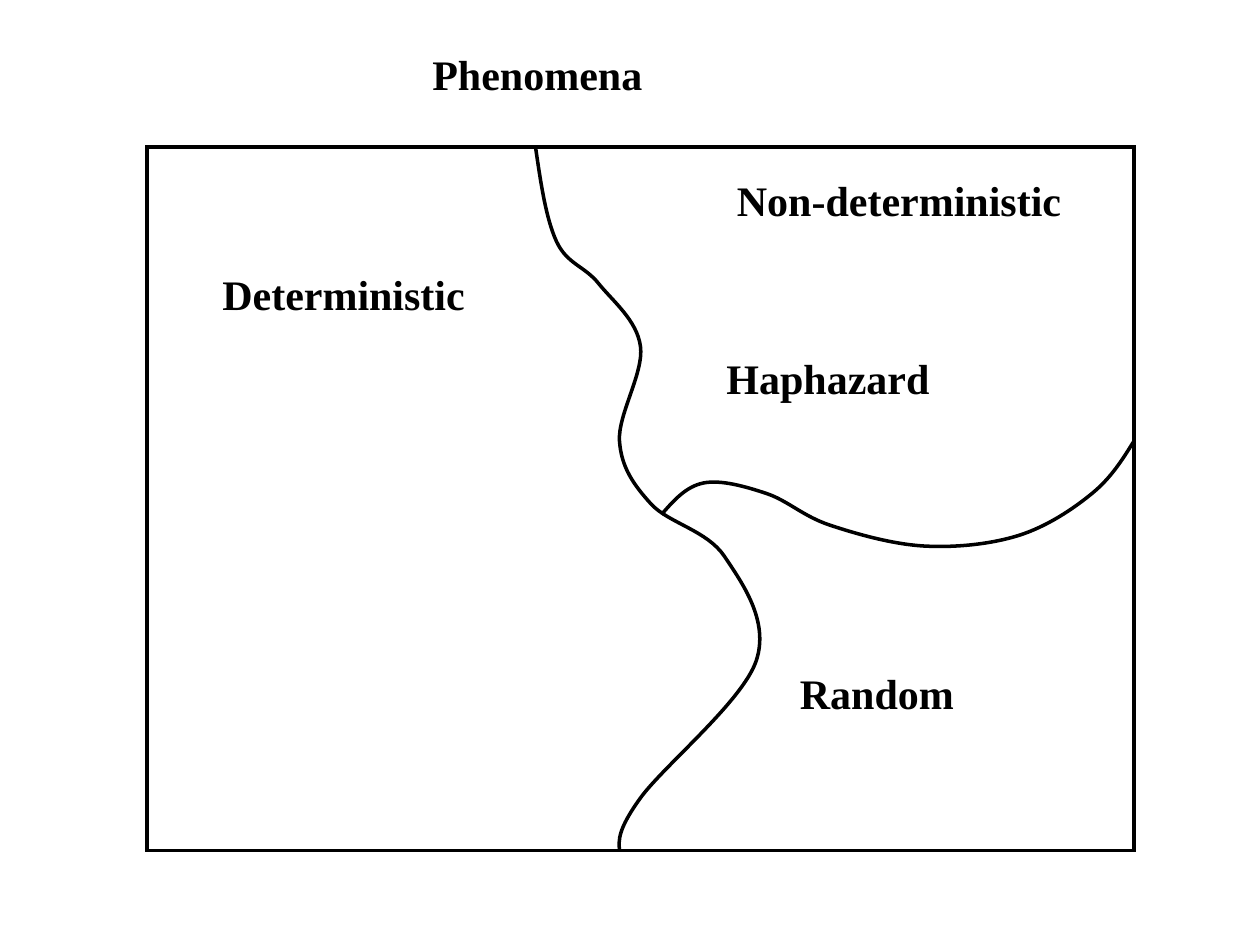
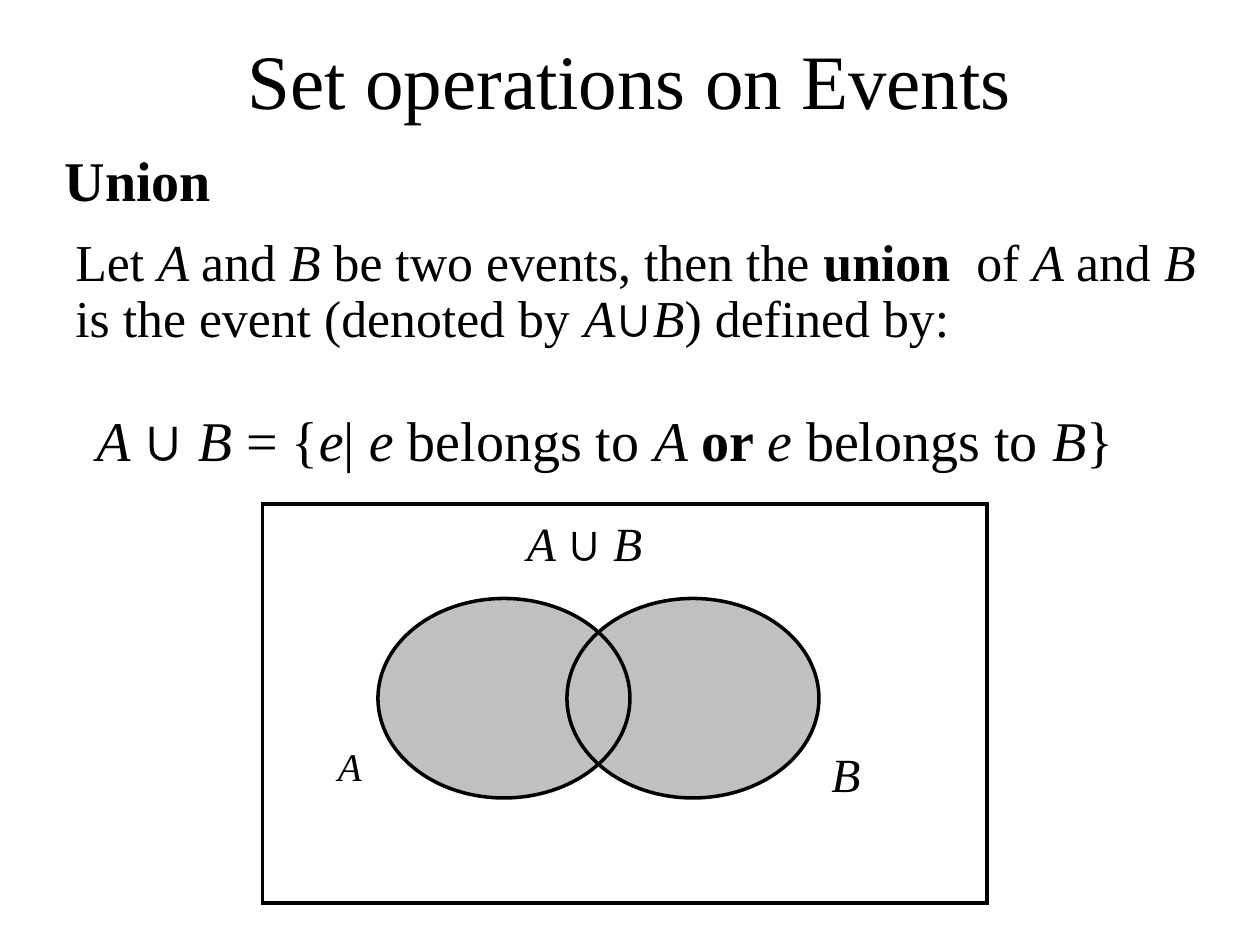
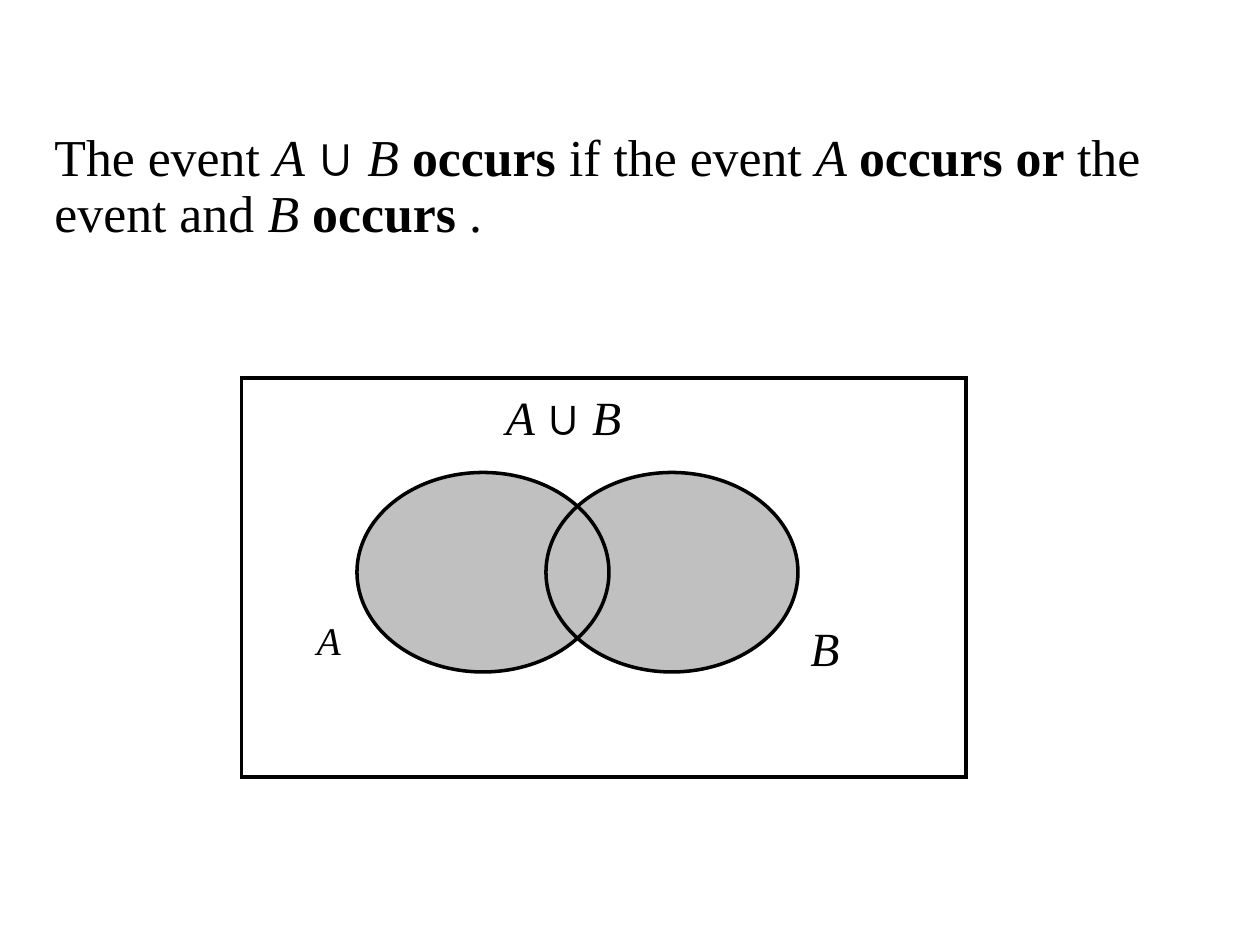
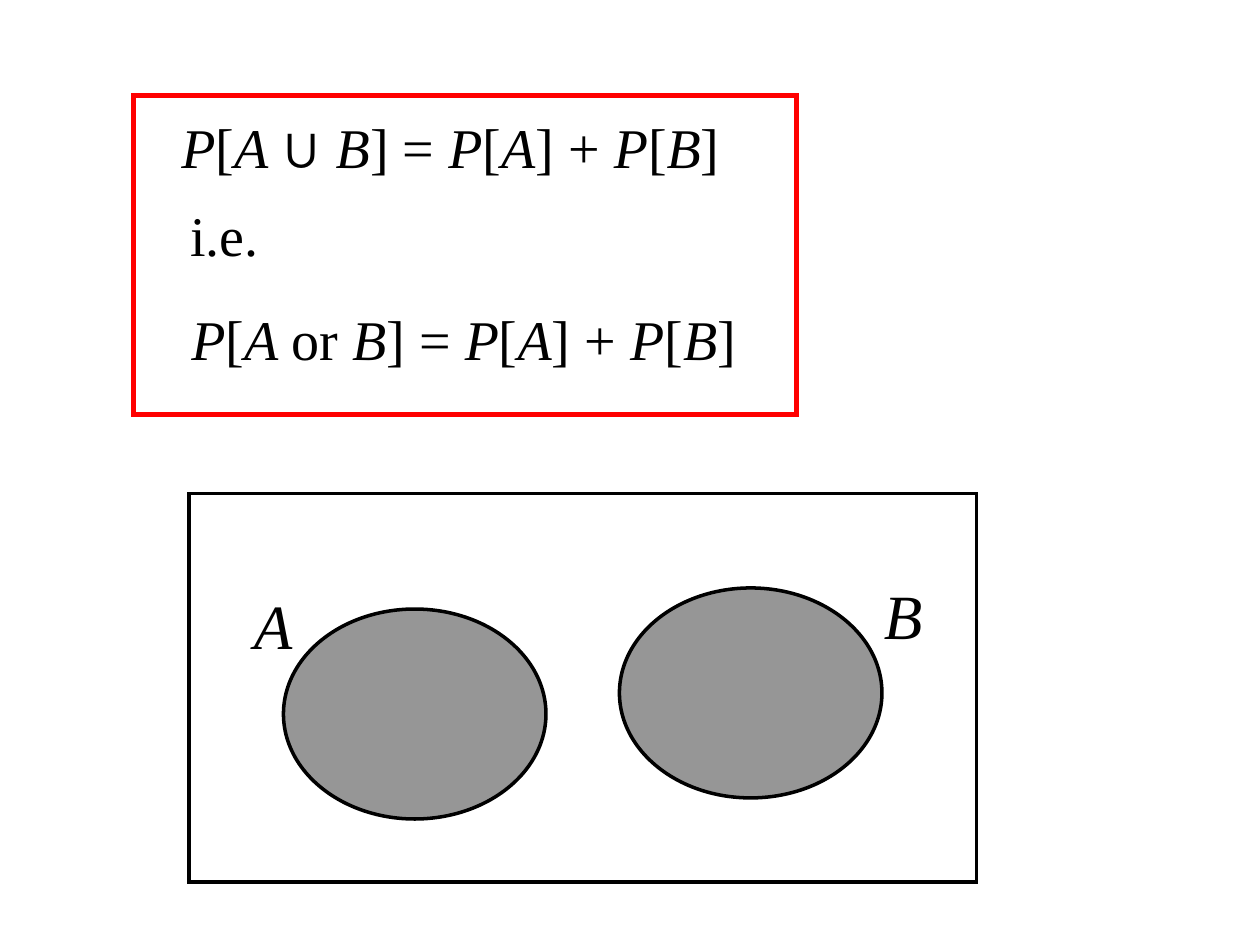
from dataclasses import dataclass, field
from itertools import groupby

from lxml.etree import SubElement
from pptx import Presentation
from pptx.dml.color import RGBColor as RGB
from pptx.enum.shapes import MSO_SHAPE as SHAPE
from pptx.enum.text import MSO_ANCHOR as ANCHOR, MSO_AUTO_SIZE as FIT, PP_ALIGN as ALIGN
from pptx.oxml.ns import qn
from pptx.util import Inches, Pt

COLUMNS, ROWS = 120, 90


@dataclass(frozen=True)
class Theme:
    font: str = "Times New Roman"
    symbol_font: str = "Arial"
    ink: RGB = RGB(0, 0, 0)
    light: RGB = RGB(0xC0, 0xC0, 0xC0)
    dark: RGB = RGB(0x96, 0x96, 0x96)
    accent: RGB = RGB(0xFF, 0, 0)
    thin: float = 2
    thick: float = 3
    sizes: dict = field(default_factory=lambda: {
        "title": 44, "big label": 36, "formula": 32, "body": 29.6,
        "label": 27.2, "heading": 24, "small label": 22.4})


def controls(knots):
    """Yield both control points of each segment; inner tangents follow the neighbours."""
    def mix(first, second, share):
        return tuple(a + share * (b - a) for a, b in zip(first, second))

    def shift(knot, before, after, sign):
        return tuple(k + sign * (b - a) / 6 for k, a, b in zip(knot, before, after))

    last = len(knots) - 1
    for i, (start, end) in enumerate(zip(knots, knots[1:])):
        leave = shift(start, knots[i - 1], end, 1) if i else None
        arrive = shift(end, start, knots[i + 2], -1) if i + 1 < last else None
        yield leave or mix(start, arrive, 0.5), arrive or mix(leave, end, 0.5)


class Deck:
    """Draws on the current slide; every length is in grid columns and rows."""

    def __init__(self, theme):
        self.theme = theme
        self.show = Presentation()
        self.show.slide_width, self.show.slide_height = Inches(10), Inches(7.5)
        self.marks = {"*": ("bold", True), "_": ("italic", True),
                      "^": ("name", theme.symbol_font)}

    def new_slide(self):
        self.shapes = self.show.slides.add_slide(self.show.slide_layouts[6]).shapes

    def place(self, column, row):
        return (round(column * self.show.slide_width / COLUMNS),
                round(row * self.show.slide_height / ROWS))

    def paint(self, shape, fill, line, width):
        shape.shadow.inherit = False
        for part, color in ((shape.fill, fill), (shape.line.fill, line)):
            if color is None:
                part.background()
            else:
                part.solid()
                part.fore_color.rgb = color
        if line is not None:
            shape.line.width = Pt(width)
            SubElement(shape.element.spPr.find(qn("a:ln")), qn("a:miter"), lim="800000")

    def outline(self, kind, column, row, columns, rows, fill=None, line=None, width=None):
        shape = self.shapes.add_shape(kind, *self.place(column, row), *self.place(columns, rows))
        self.paint(shape, fill, line, width or self.theme.thin)

    def frame(self, *area, **look):
        self.outline(SHAPE.RECTANGLE, *area, **{"line": self.theme.ink, **look})

    def oval(self, *area, **look):
        self.outline(SHAPE.OVAL, *area, **look)

    def curve(self, knots):
        """Smooth open line through the knots."""
        builder = self.shapes.build_freeform(*self.place(*knots[0]))
        builder.add_line_segments([self.place(*knot) for knot in knots[1:]], close=False)
        border = builder.convert_to_shape()
        self.paint(border, None, self.theme.ink, self.theme.thin)
        segments = list(border.element.iter(qn("a:lnTo")))
        for segment, pair in zip(segments, controls(knots)):
            segment.tag = qn("a:cubicBezTo")
            for position, control in enumerate(pair):
                x, y = self.place(*control)
                segment.insert(position, SubElement(segment, qn("a:pt"), x=str(x - border.left),
                                                    y=str(y - border.top)))

    def text(self, words, size, column, row, columns, rows, frame_format=None, **paragraph_format):
        """Marks switch formats on and off: * bold, _ italic, ^ symbol font."""
        frame = self.shapes.add_textbox(*self.place(column, row),
                                        *self.place(columns, rows)).text_frame
        paragraph = frame.paragraphs[0]
        for target, values in ((frame, {"word_wrap": True, **(frame_format or {})}),
                               (paragraph, paragraph_format)):
            for name, value in values.items():
                setattr(target, name, value)
        active = set()
        for is_mark, letters in groupby(words, lambda letter: letter in self.marks):
            if is_mark:
                active ^= set(letters)
                continue
            run = paragraph.add_run()
            run.text = "".join(letters)
            run.font.color.rgb = self.theme.ink
            font_format = {"name": self.theme.font, "size": Pt(self.theme.sizes[size]),
                           **dict(self.marks[mark] for mark in active)}
            for name, value in font_format.items():
                setattr(run.font, name, value)

    def union_diagram(self, column, row):
        """Two overlapping events in a sample space with its corner at column, row."""
        events = [(column + shift, row + 9, 24, 19) for shift in (29, 11)]
        for event in events:
            self.oval(*event, fill=self.theme.light)
        self.frame(column, row, 69, 38)
        for event in reversed(events):
            self.oval(*event, line=self.theme.ink)
        self.text("_A _^∪^_ B_", "label", column + 24, row + 1, 16, 7, line_spacing=0.9)
        self.text("_A_", "small label", column + 6, row + 23, 6, 6, line_spacing=0.8)
        self.text("_B_", "label", column + 53, row + 23, 6, 7, line_spacing=0.9)


def phenomena(deck):
    deck.new_slide()
    deck.frame(14, 14, 94, 67)
    deck.curve([(51, 14), (53, 23), (57, 27), (61, 33), (59, 42),
                (62, 48), (69, 53), (72, 63), (61, 76), (59, 81)])
    for name, column, row, columns in (("Phenomena", 40, 4, 29), ("Deterministic", 20, 25, 29),
                                       ("Non-deterministic", 69, 16, 34),
                                       ("Haphazard", 68, 33, 34), ("Random", 75, 63, 34)):
        deck.text(f"*{name}*", "heading", column, row, columns, 6,
                  {"auto_size": FIT.SHAPE_TO_FIT_TEXT})
    deck.curve([(63, 49), (67, 46), (73, 47), (79, 50),
                (88, 52), (97, 51), (104, 47), (108, 42)])


def union_definition(deck):
    deck.new_slide()
    deck.text("Set operations on Events", "title", 6, 0, 108, 15,
              {"vertical_anchor": ANCHOR.MIDDLE}, alignment=ALIGN.CENTER)
    deck.text("*Union*", "formula", 5, 14, 18, 7, line_spacing=0.9)
    deck.text("Let _A _and _B _be two events, then the *union * of _A _and _B _"
              "is the event (denoted by _A_^∪^_B_) defined by:",
              "body", 6, 22, 110, 14, line_spacing=0.9)
    deck.text("_A _^∪^_ B_ = {_e_| _e _belongs to _A _*or *_e _belongs to _B_}",
              "formula", 8, 38, 101, 9)
    deck.union_diagram(25, 48)


def union_occurs(deck):
    deck.new_slide()
    deck.text("The event _A _^∪^_ B _*occurs *if the event _A _*occurs or *"
              "the event and _B _*occurs *.", "body", 4, 12, 110, 14, line_spacing=0.9)
    deck.union_diagram(23, 36)


def addition_rule(deck):
    theme = deck.theme
    deck.new_slide()
    deck.frame(18, 47, 75, 37)
    for column, row in ((59, 56), (27, 58)):
        deck.oval(column, row, 25, 20, fill=theme.dark, line=theme.ink)
    for event, column, row in (("A", 23, 54), ("B", 83, 53)):
        deck.text(f"_{event}_", "big label", column, row, 13, 11,
                  {"vertical_anchor": ANCHOR.MIDDLE})
    total = "B_] = _P_[_A_] + _P_[_B_]"
    for words, column, row in (("i.e.", 16.92, 18.48),
                               ("_P_[_A _^∪^_ " + total, 16.08, 10.08),
                               ("_P_[_A _or _" + total, 17.04, 28.44)):
        deck.text(words, "formula", column, row, 86.16, 8.64)
    deck.frame(12.72, 9.12, 63.12, 30.36, line=theme.accent, width=theme.thick)


def main():
    deck = Deck(Theme())
    for build in (phenomena, union_definition, union_occurs, addition_rule):
        build(deck)
    deck.show.save("out.pptx")


if __name__ == "__main__":
    main()
